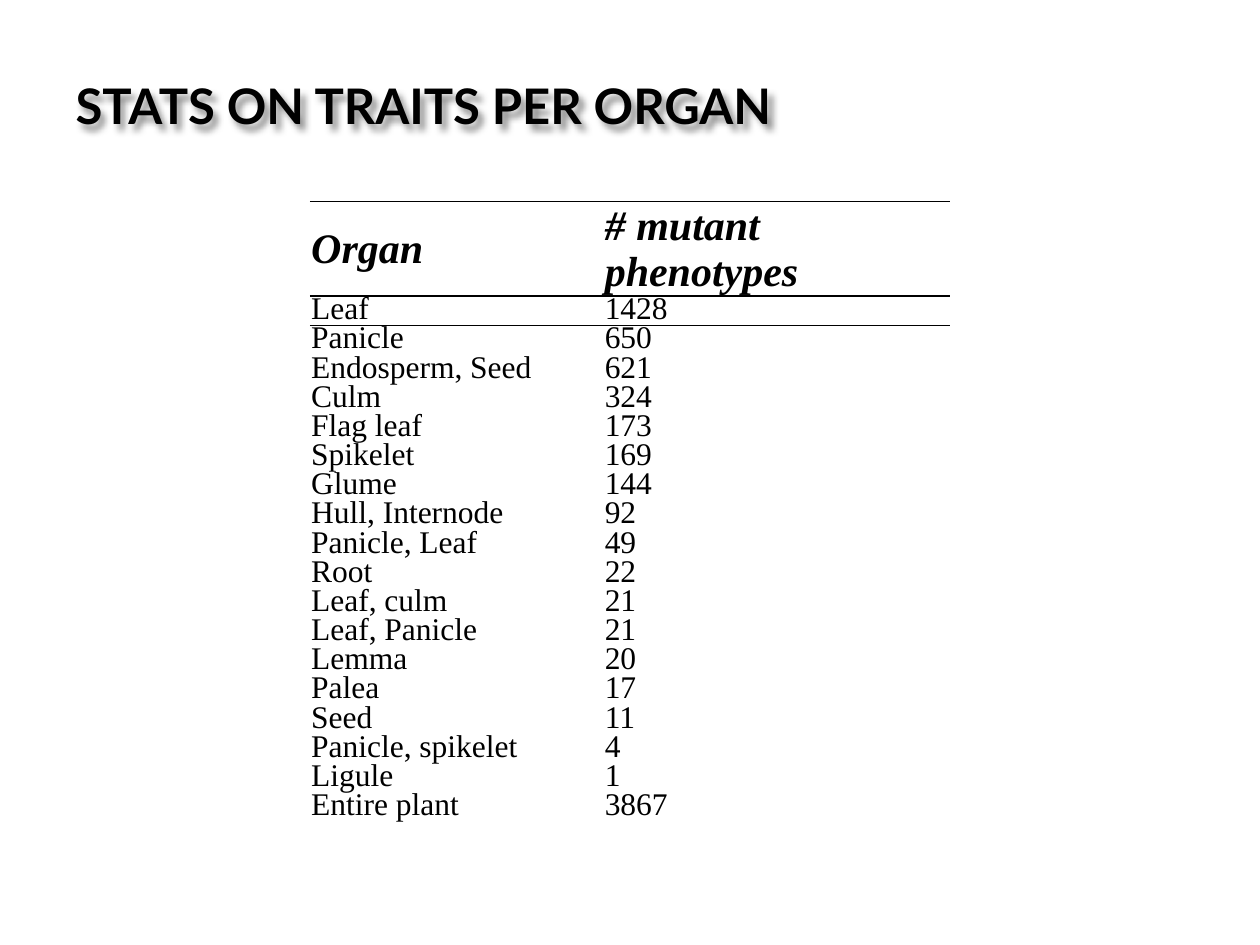
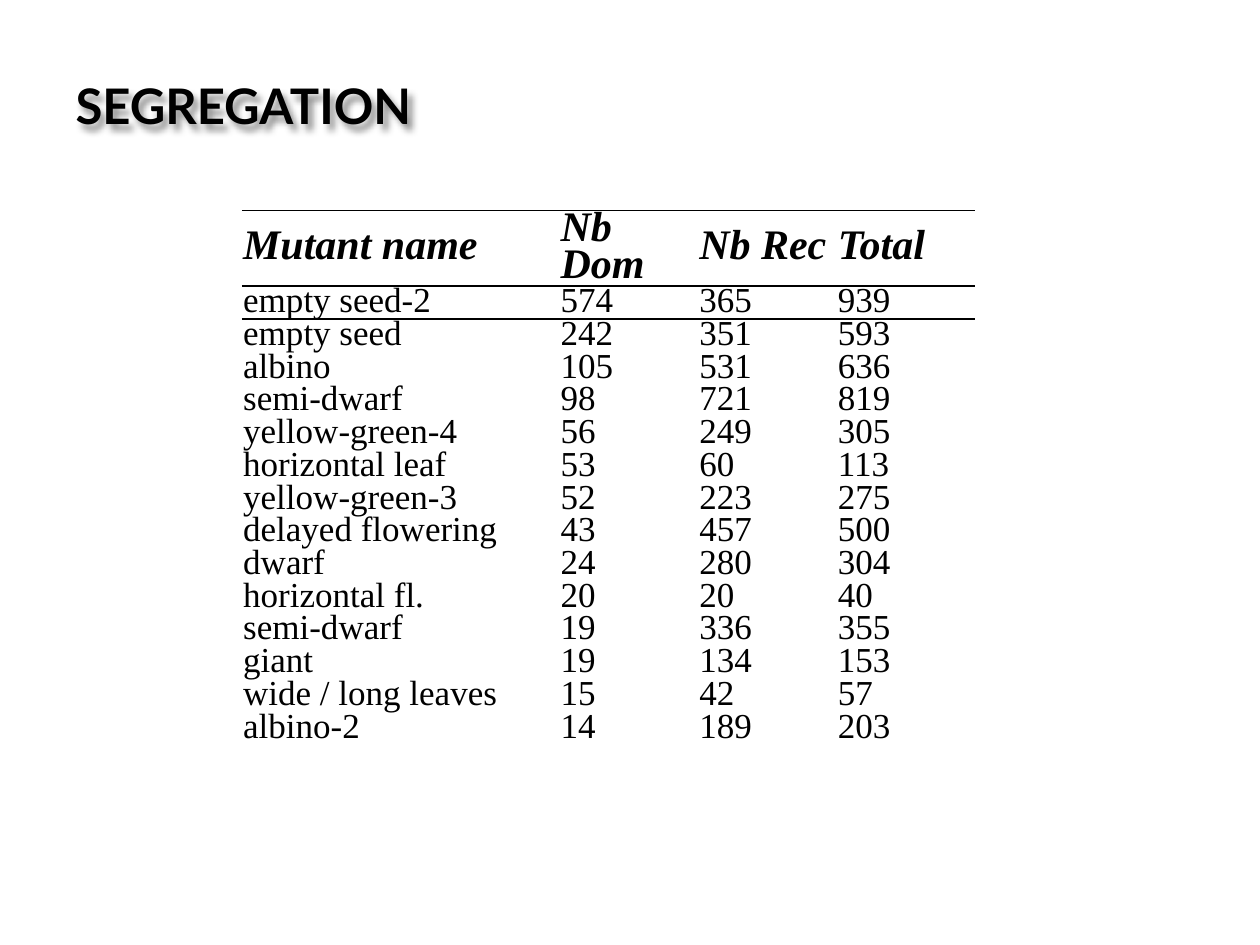
from dataclasses import dataclass

import pptx
import pptx.dml.color
import pptx.enum.text
import pptx.oxml
import pptx.oxml.ns
import pptx.util
from pptx.util import Inches

INK = "000000"
TITLE_FONT = "Lato"
TABLE_FONT = "Times New Roman"
PLAIN_TABLE_STYLE = "{2D5ABB26-0587-4C30-8999-92F81FD0307C}"
TITLE_ONLY = 5
MIDDLE = pptx.enum.text.MSO_ANCHOR.MIDDLE
BOTTOM = pptx.enum.text.MSO_ANCHOR.BOTTOM


@dataclass(frozen=True)
class TextStyle:
    font: str
    size: int
    bold: bool = False
    italic: bool = False
    line_spacing: float | None = None


@dataclass(frozen=True)
class TableSlide:
    title: str
    left: float
    top: float
    column_widths: list[float]
    header_height: float
    row_height: float
    header_style: TextStyle
    body_style: TextStyle
    body_anchor: pptx.enum.text.MSO_ANCHOR
    header: tuple[str, ...]
    rows: list[tuple[str | int, ...]]


TITLE_STYLE = TextStyle(TITLE_FONT, 28, bold=True)

TABLE_SLIDES = [
    TableSlide(
        title="STATS ON TRAITS PER ORGAN",
        left=2.46,
        top=1.6,
        column_widths=[2.33, 2.75],
        header_height=0.75,
        row_height=0.23,
        header_style=TextStyle(TABLE_FONT, 24, bold=True, italic=True),
        body_style=TextStyle(TABLE_FONT, 18, line_spacing=0.8),
        body_anchor=MIDDLE,
        header=("Organ", "# mutant phenotypes"),
        rows=[
            ("Leaf", 1428),
            ("Panicle", 650),
            ("Endosperm, Seed", 621),
            ("Culm", 324),
            ("Flag leaf", 173),
            ("Spikelet", 169),
            ("Glume", 144),
            ("Hull, Internode", 92),
            ("Panicle, Leaf", 49),
            ("Root", 22),
            ("Leaf, culm", 21),
            ("Leaf, Panicle", 21),
            ("Lemma", 20),
            ("Palea", 17),
            ("Seed", 11),
            ("Panicle, spikelet", 4),
            ("Ligule", 1),
            ("Entire plant", 3867),
        ],
    ),
    TableSlide(
        title="SEGREGATION",
        left=1.92,
        top=1.67,
        column_widths=[2.52, 1.1, 1.1, 1.1],
        header_height=0.6,
        row_height=0.26,
        header_style=TextStyle(TABLE_FONT, 24, bold=True, italic=True, line_spacing=0.8),
        body_style=TextStyle(TABLE_FONT, 20, line_spacing=0.8),
        body_anchor=BOTTOM,
        header=("Mutant name", "Nb Dom", "Nb Rec", "Total"),
        rows=[
            ("empty seed-2", 574, 365, 939),
            ("empty seed", 242, 351, 593),
            ("albino", 105, 531, 636),
            ("semi-dwarf", 98, 721, 819),
            ("yellow-green-4", 56, 249, 305),
            ("horizontal leaf", 53, 60, 113),
            ("yellow-green-3", 52, 223, 275),
            ("delayed flowering", 43, 457, 500),
            ("dwarf", 24, 280, 304),
            ("horizontal fl.", 20, 20, 40),
            ("semi-dwarf", 19, 336, 355),
            ("giant", 19, 134, 153),
            ("wide / long leaves", 15, 42, 57),
            ("albino-2", 14, 189, 203),
        ],
    ),
]


def color(value: str) -> pptx.dml.color.RGBColor:
    return pptx.dml.color.RGBColor.from_string(value)


def write_text(frame, text: str, style: TextStyle) -> None:
    para = frame.paragraphs[0]
    para.alignment = pptx.enum.text.PP_ALIGN.LEFT
    if style.line_spacing is not None:
        para.line_spacing = style.line_spacing
    span = para.add_run()
    span.text = text
    span.font.name = style.font
    span.font.size = pptx.util.Pt(style.size)
    span.font.bold = style.bold
    span.font.italic = style.italic
    span.font.color.rgb = color(INK)


def draw_title(page, text: str) -> None:
    title = page.shapes.title
    title.left, title.top = Inches(0.5), Inches(0.42)
    title.width, title.height = Inches(9.25), Inches(0.83)
    title.fill.background()
    frame = title.text_frame
    frame.word_wrap = True
    frame.auto_size = pptx.enum.text.MSO_AUTO_SIZE.NONE
    frame.vertical_anchor = MIDDLE
    write_text(frame, text, TITLE_STYLE)
    title.element.spPr.append(pptx.oxml.parse_xml(
        f'<a:effectLst {pptx.oxml.ns.nsdecls("a")}>'
        '<a:outerShdw blurRad="50800" dist="50800" dir="2700000" algn="tl" rotWithShape="0">'
        f'<a:srgbClr val="{INK}"><a:alpha val="43000"/></a:srgbClr>'
        '</a:outerShdw></a:effectLst>'
    ))


def add_border(cell, side: str) -> None:
    cell._tc.get_or_add_tcPr().append(pptx.oxml.parse_xml(
        f'<a:{side} {pptx.oxml.ns.nsdecls("a")} w="{pptx.util.Pt(1)}">'
        f'<a:solidFill><a:srgbClr val="{INK}"/></a:solidFill></a:{side}>'
    ))


def draw_table(page, content: TableSlide) -> None:
    lines = [content.header, *content.rows]
    frame = page.shapes.add_table(
        len(lines), len(content.header),
        Inches(content.left), Inches(content.top),
        Inches(sum(content.column_widths)),
        Inches(content.header_height + len(content.rows) * content.row_height),
    )
    table = frame.table
    table.first_row = table.horz_banding = False
    table._tbl.tblPr.find(pptx.oxml.ns.qn("a:tableStyleId")).text = PLAIN_TABLE_STYLE
    for column, width in zip(table.columns, content.column_widths):
        column.width = Inches(width)
    for index, (row, values) in enumerate(zip(table.rows, lines)):
        is_header = index == 0
        row.height = Inches(content.header_height if is_header else content.row_height)
        borders = {0: ("lnT", "lnB"), 1: ("lnT",)}.get(index, ())
        for cell, value in zip(row.cells, values):
            cell.margin_left = cell.margin_right = cell.margin_top = Inches(0.01)
            cell.margin_bottom = 0
            cell.vertical_anchor = MIDDLE if is_header else content.body_anchor
            for side in borders:
                add_border(cell, side)
            cell.fill.background()
            style = content.header_style if is_header else content.body_style
            write_text(cell.text_frame, str(value), style)


def main() -> None:
    deck = pptx.Presentation()
    deck.slide_width, deck.slide_height = Inches(10), Inches(7.5)
    for content in TABLE_SLIDES:
        page = deck.slides.add_slide(deck.slide_layouts[TITLE_ONLY])
        draw_title(page, content.title)
        draw_table(page, content)
    deck.save("out.pptx")


if __name__ == "__main__":
    main()
